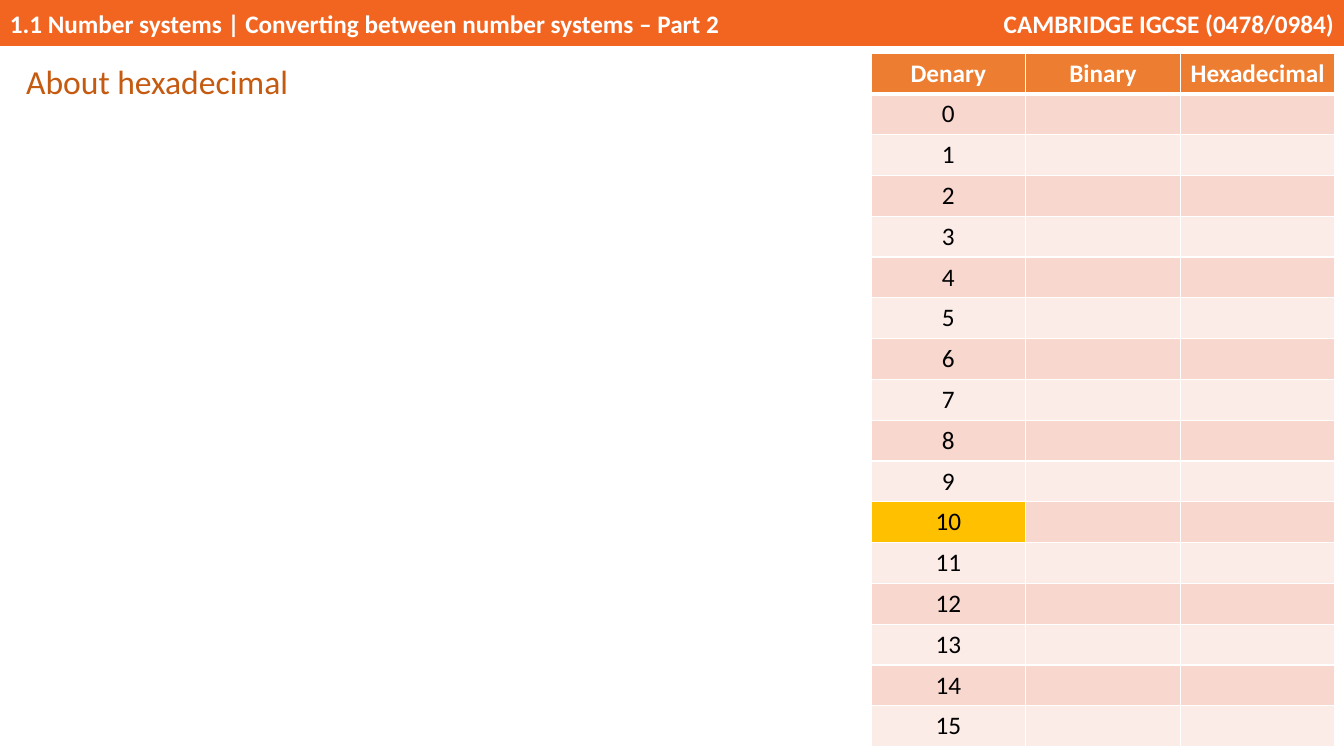
from lxml.etree import SubElement
from pptx import Presentation
from pptx.dml.color import RGBColor
from pptx.enum.shapes import MSO_SHAPE
from pptx.enum.text import MSO_ANCHOR, MSO_AUTO_SIZE, PP_ALIGN
from pptx.oxml.ns import qn
from pptx.util import Pt

TITLE = "About hexadecimal"
BARS = [
    ("1.1 Number systems | Converting between number systems – Part 2", 0, 1113, PP_ALIGN.LEFT),
    ("CAMBRIDGE IGCSE (0478/0984)", 986, 358, PP_ALIGN.RIGHT),
]
HEADS = ["Denary", "Binary", "Hexadecimal"]
ROWS = [HEADS] + [[str(n), "", ""] for n in range(16)]
MARKED = "10"
COLORS = {
    "bar": "F26521", "title": "C55A11", "head": "ED7D31", "odd": "F8D7CE",
    "even": "FCECE8", "mark": "FFC000", "white": "FFFFFF", "black": "000000",
}
FONT = "Calibri"
WIDE, HIGH = 1344, 756
BAR_HIGH = 46
TITLE_BOX = (16, 53, 484, 51)
GRID_BOX = (871, 53, 464, 694)


def px(n):
    return round(n * 12192000 / WIDE)


def rgb(name):
    return RGBColor.from_string(COLORS[name])


def style(para, size, color, bold=False, align=PP_ALIGN.LEFT):
    para.alignment = align
    for run in para.runs:
        font = run.font
        font.name, font.size, font.bold = FONT, Pt(size), bold
        font.color.rgb = rgb(color)


def add_bar(slide, text, left, width, align):
    bar = slide.shapes.add_shape(MSO_SHAPE.RECTANGLE, px(left), 0, px(width), px(BAR_HIGH))
    bar.shadow.inherit = False
    bar.fill.solid()
    bar.fill.fore_color.rgb = rgb("bar")
    bar.line.fill.background()
    frame = bar.text_frame
    frame.text = text
    frame.word_wrap = True
    frame.vertical_anchor = MSO_ANCHOR.MIDDLE
    style(frame.paragraphs[0], 18, "white", True, align)


def set_title(slide):
    title = slide.shapes.title
    title.left, title.top, title.width, title.height = map(px, TITLE_BOX)
    frame = title.text_frame
    frame.text = TITLE
    frame.word_wrap = True
    frame.auto_size = MSO_AUTO_SIZE.SHAPE_TO_FIT_TEXT
    frame.vertical_anchor = MSO_ANCHOR.TOP
    para = frame.paragraphs[0]
    para.line_spacing = 1.07
    para.space_before, para.space_after = Pt(0), Pt(8)
    style(para, 24, "title")


def add_edges(cell, row):
    props = cell._tc.get_or_add_tcPr()
    sizes = {"lnL": 1, "lnR": 1, "lnT": 3 if row == 1 else 1, "lnB": 3 if row == 0 else 1}
    for side, size in sizes.items():
        edge = SubElement(props, qn(f"a:{side}"), w=str(Pt(size)))
        fill = SubElement(edge, qn("a:solidFill"))
        SubElement(fill, qn("a:srgbClr"), val=COLORS["white"])


def pick_fill(row, text):
    if row == 0:
        return "head"
    if text == MARKED:
        return "mark"
    return "odd" if row % 2 else "even"


def add_grid(slide):
    grid = slide.shapes.add_table(len(ROWS), len(HEADS), *map(px, GRID_BOX)).table
    for r, texts in enumerate(ROWS):
        for c, text in enumerate(texts):
            cell = grid.cell(r, c)
            add_edges(cell, r)
            cell.fill.solid()
            cell.fill.fore_color.rgb = rgb(pick_fill(r, text))
            cell.vertical_anchor = MSO_ANCHOR.MIDDLE
            cell.text_frame.text = text
            style(cell.text_frame.paragraphs[0], 18, "black" if r else "white", r == 0, PP_ALIGN.CENTER)


def main():
    deck = Presentation()
    deck.slide_width, deck.slide_height = px(WIDE), px(HIGH)
    slide = deck.slides.add_slide(deck.slide_layouts[5])
    for bar in BARS:
        add_bar(slide, *bar)
    set_title(slide)
    add_grid(slide)
    deck.save("out.pptx")


if __name__ == "__main__":
    main()
